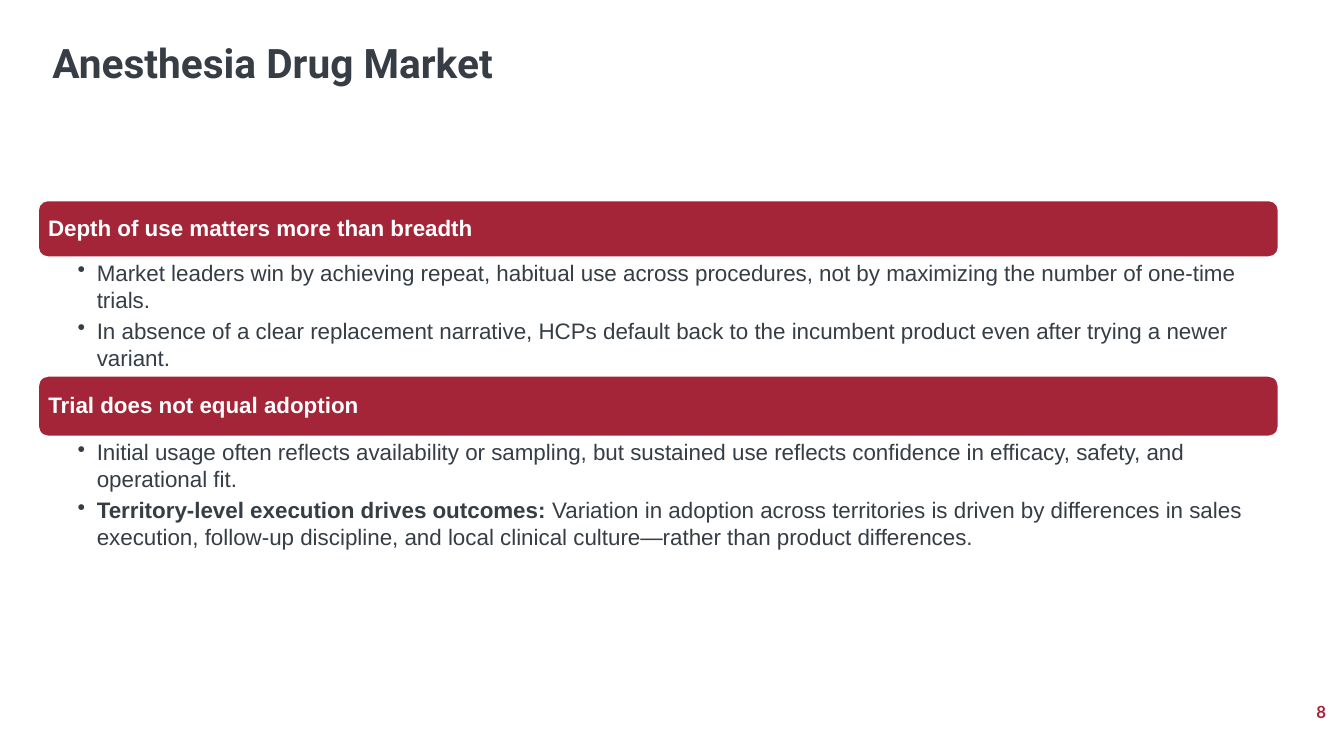
from lxml.etree import SubElement
from pptx import Presentation
from pptx.dml.color import RGBColor
from pptx.enum.shapes import MSO_SHAPE
from pptx.enum.text import MSO_ANCHOR, MSO_AUTO_SIZE, PP_ALIGN
from pptx.oxml.ns import qn
from pptx.util import Inches, Pt

CRIMSON, SLATE, WHITE = "A32537", "363D45", "FFFFFF"
LEFT, WIDTH, BODY_HEIGHT = 0.38, 12.3, 1.18

# Each section: heading, bar height, bullets made of (text, bold) runs
SECTIONS = [
    ("Depth of use matters more than breadth", 0.56, [
        [("Market leaders win by achieving repeat, habitual use across procedures, "
          "not by maximizing the number of one-time trials.", False)],
        [("In absence of a clear replacement narrative, HCPs default back to the "
          "incumbent product even after trying a newer variant.", False)],
    ]),
    ("Trial does not equal adoption", 0.6, [
        [("Initial usage often reflects availability or sampling, but sustained use "
          "reflects confidence in efficacy, safety, and operational fit.", False)],
        [("Territory-level execution drives outcomes: ", True),
         ("Variation in adoption across territories is driven by differences in sales "
          "execution, follow-up discipline, and local clinical culture—rather than "
          "product differences.", False)],
    ]),
]


def add_run(paragraph, text, size, font, color, bold):
    run = paragraph.add_run()
    run.text = text
    run.font.size = Pt(size)
    run.font.name = font
    run.font.bold = bold
    run.font.color.rgb = RGBColor.from_string(color)


def set_insets(frame, left, top, right, bottom):
    frame.word_wrap = True
    frame.margin_left, frame.margin_top = Inches(left), Inches(top)
    frame.margin_right, frame.margin_bottom = Inches(right), Inches(bottom)


prs = Presentation()
prs.slide_width, prs.slide_height = Inches(13.33), Inches(7.5)
slide = prs.slides.add_slide(prs.slide_layouts[5])

title = slide.shapes.title
title.left, title.top = Inches(0.42), Inches(0.36)
title.width, title.height = Inches(8.64), Inches(0.56)
title_frame = title.text_frame
title_frame.auto_size = MSO_AUTO_SIZE.NONE
title_frame.vertical_anchor = MSO_ANCHOR.BOTTOM
title_line = title_frame.paragraphs[0]
title_line.alignment = PP_ALIGN.LEFT
title_line.line_spacing = 0.9
add_run(title_line, "Anesthesia Drug Market", 29, "Roboto", SLATE, True)

top = 1.99
for heading, bar_height, bullets in SECTIONS:
    bar = slide.shapes.add_shape(MSO_SHAPE.ROUNDED_RECTANGLE, Inches(LEFT), Inches(top),
                                 Inches(WIDTH), Inches(bar_height))
    bar.shadow.inherit = False
    bar.fill.solid()
    bar.fill.fore_color.rgb = RGBColor.from_string(CRIMSON)
    bar.line.color.rgb = RGBColor.from_string(WHITE)
    bar.line.width = Pt(1)
    set_insets(bar.text_frame, 0.07, 0.07, 0.07, 0.07)
    bar.text_frame.vertical_anchor = MSO_ANCHOR.MIDDLE
    heading_line = bar.text_frame.paragraphs[0]
    heading_line.alignment = PP_ALIGN.LEFT
    heading_line.line_spacing = 0.9
    add_run(heading_line, heading, 16, "Arial", WHITE, True)
    top += bar_height

    body = slide.shapes.add_textbox(Inches(LEFT), Inches(top), Inches(WIDTH),
                                    Inches(BODY_HEIGHT)).text_frame
    set_insets(body, 0.39, 0.02, 0.12, 0.02)
    for index, runs in enumerate(bullets):
        bullet = body.add_paragraph() if index else body.paragraphs[0]
        bullet.level = 1
        bullet.space_after = Pt(3)
        properties = bullet._p.get_or_add_pPr()
        properties.set("marL", str(Inches(0.19)))
        properties.set("indent", str(Inches(-0.19)))
        SubElement(properties, qn("a:buChar")).set("char", "•")
        for text, bold in runs:
            add_run(bullet, text, 16, "Arial", SLATE, bold)
    top += BODY_HEIGHT

page_number = slide.shapes.add_textbox(Inches(10.25), Inches(6.86), Inches(3), Inches(0.4)).text_frame
page_number.word_wrap = True
page_number.vertical_anchor = MSO_ANCHOR.MIDDLE
page_number.paragraphs[0].alignment = PP_ALIGN.RIGHT
add_run(page_number.paragraphs[0], "8", 12, "Lato", CRIMSON, True)

prs.save("out.pptx")
